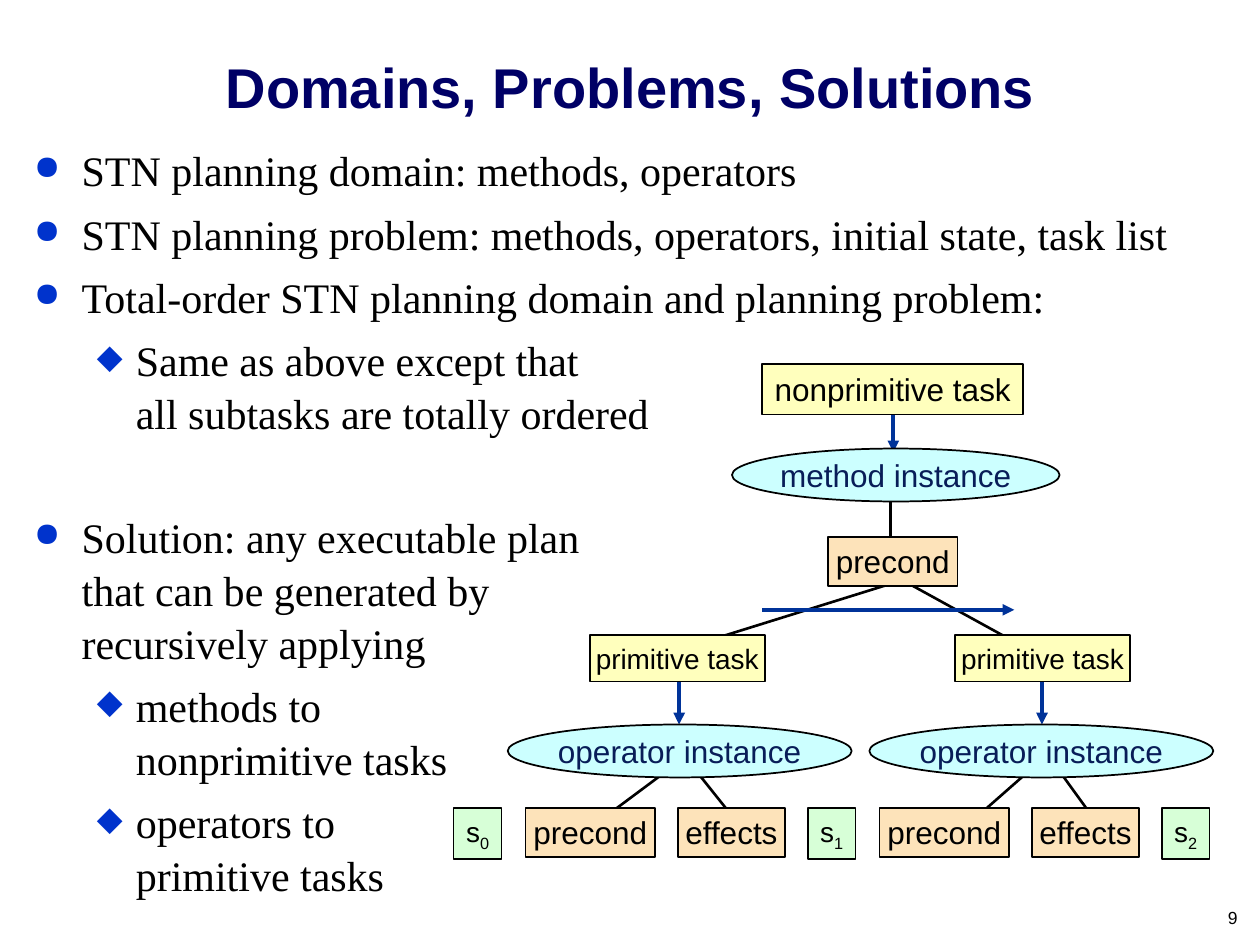
"""Build a slide on planning domains, problems and solutions."""
from dataclasses import dataclass

from lxml import etree
from pptx import Presentation
from pptx.dml.color import RGBColor
from pptx.enum import shapes, text
from pptx.oxml import ns
from pptx.util import Inches, Pt

BLACK = RGBColor(0, 0, 0)
NAVY = RGBColor(0x00, 0x00, 0x66)
INK = RGBColor(0x08, 0x1D, 0x58)
BLUE = RGBColor(0x00, 0x33, 0x99)
YELLOW = RGBColor(0xFF, 0xFF, 0xBD)
PEACH = RGBColor(0xFD, 0xE3, 0xBA)
CYAN = RGBColor(0xCC, 0xFF, 0xFF)
GREEN = RGBColor(0xD7, 0xFF, 0xD7)
RECT = shapes.MSO_SHAPE.RECTANGLE
OVAL = shapes.MSO_SHAPE.OVAL
ALIGN = text.PP_ALIGN
ANCHOR = text.MSO_ANCHOR


@dataclass(frozen=True)
class Kind:
    form: shapes.MSO_SHAPE
    fill: RGBColor
    width: float
    height: float
    size: int = 18
    color: RGBColor = BLACK


@dataclass(frozen=True)
class Node:
    kind: Kind
    left: float
    top: float
    words: str
    sub: str = ""


@dataclass(frozen=True)
class Link:
    start: tuple[float, float]
    end: tuple[float, float]
    arrow: bool = False


@dataclass(frozen=True)
class Point:
    words: str
    level: int = 0
    before: float = 6


GOAL = Kind(RECT, YELLOW, 2.07, 0.4)
TASK = Kind(RECT, YELLOW, 1.39, 0.37, 16)
METHOD = Kind(OVAL, CYAN, 2.6, 0.42, color=INK)
ACTION = Kind(OVAL, CYAN, 2.73, 0.42, color=INK)
NEED = Kind(RECT, PEACH, 1.03, 0.39)
EFFECT = Kind(RECT, PEACH, 0.85, 0.39)
STATE = Kind(RECT, GREEN, 0.38, 0.41, 16)
ROW = 6.41
STEP = 2.81

POINTS = [
    Point("STN planning domain: methods, operators", before=0),
    Point("STN planning problem: methods, operators, initial state, task list"),
    Point("Total-order STN planning domain and planning problem:"),
    Point("Same as above except that\nall subtasks are totally ordered", 1),
    Point("Solution: any executable plan\nthat can be generated by\n"
          "recursively applying", before=40.5),
    Point("methods to\nnonprimitive tasks", 1),
    Point("operators to\nprimitive tasks", 1),
]
BULLETS = [("●", 0.38, 0.38), ("◆", 0.81, 0.31)]

LINKS = [
    Link((5.33, 6.09), (4.86, 6.44)),
    Link((5.55, 6.15), (5.79, 6.45)),
    Link((8.2, 6.09), (7.79, 6.45)),
    Link((8.43, 6.15), (8.64, 6.44)),
    Link((7.07, 3.85), (7.07, 4.39)),
    Link((7.08, 4.63), (5.7, 5.06)),
    Link((7.19, 4.62), (7.99, 5.06)),
    Link((7.09, 3.24), (7.09, 3.59), True),
    Link((6.05, 4.84), (8.05, 4.84), True),
    Link((5.39, 5.4), (5.39, 5.75), True),
    Link((8.27, 5.4), (8.27, 5.75), True),
]


def write(para, words: str, *, size: float, font: str = "Arial",
          color: RGBColor = BLACK, bold: bool = False,
          align=ALIGN.CENTER, sub: str = "") -> None:
    """Fill a paragraph with formatted text and an optional subscript."""
    para.text = words
    para.alignment = align
    if sub:
        low = para.add_run()
        low.text = sub
        low._r.get_or_add_rPr().set("baseline", "-25000")
    for run in para.runs:
        run.font.size = Pt(size)
        run.font.name = font
        run.font.bold = bold
        run.font.color.rgb = color


def bullet(para, level: int) -> None:
    """Give a paragraph the bullet and indent of its level."""
    char, left, hang = BULLETS[level]
    props = para._p.get_or_add_pPr()
    props.set("marL", str(Inches(left)))
    props.set("indent", str(-Inches(hang)))
    tint = etree.SubElement(props, ns.qn("a:buClr"))
    etree.SubElement(tint, ns.qn("a:srgbClr"), val="0033CC")
    etree.SubElement(props, ns.qn("a:buSzPct"), val="80000")
    etree.SubElement(props, ns.qn("a:buChar"), char=char)


def connect(slide, link: Link) -> None:
    """Draw a plain line or an ordering arrow."""
    ends = [Inches(n) for n in link.start + link.end]
    line = slide.shapes.add_connector(shapes.MSO_CONNECTOR.STRAIGHT, *ends)
    line.line.color.rgb = BLUE if link.arrow else BLACK
    line.line.width = Pt(2.25 if link.arrow else 1.5)
    if link.arrow:
        etree.SubElement(line.line._get_or_add_ln(), ns.qn("a:tailEnd"),
                         type="triangle")
    etree.SubElement(line._element.spPr, ns.qn("a:effectLst"))


def draw(slide, node: Node) -> None:
    """Draw one labelled node of the tree."""
    kind = node.kind
    area = [Inches(n) for n in (node.left, node.top, kind.width, kind.height)]
    shape = slide.shapes.add_shape(kind.form, *area)
    shape.shadow.inherit = False
    shape.fill.solid()
    shape.fill.fore_color.rgb = kind.fill
    shape.line.color.rgb = BLACK
    shape.line.width = Pt(1)
    frame = shape.text_frame
    frame.word_wrap = False
    frame.vertical_anchor = ANCHOR.MIDDLE
    frame.margin_left = frame.margin_right = 0
    frame.margin_top = frame.margin_bottom = 0
    write(frame.paragraphs[0], node.words, size=kind.size, color=kind.color,
          sub=node.sub)


def textbox(slide, *area: float):
    """Add a wrapping text box and return its frame."""
    frame = slide.shapes.add_textbox(*[Inches(n) for n in area]).text_frame
    frame.word_wrap = True
    return frame


def main() -> None:
    """Assemble and save the slide."""
    deck = Presentation()
    deck.slide_width, deck.slide_height = Inches(10), Inches(7.5)
    slide = deck.slides.add_slide(deck.slide_layouts[5])
    title = slide.shapes.title
    title.left, title.top = Inches(0.17), Inches(0.11)
    title.width, title.height = Inches(9.67), Inches(0.89)
    title.text_frame.vertical_anchor = ANCHOR.BOTTOM
    write(title.text_frame.paragraphs[0], "Domains, Problems, Solutions",
          size=32, color=NAVY, bold=True)

    body = textbox(slide, 0.17, 1.08, 9.67, 5.9)
    for i, point in enumerate(POINTS):
        para = body.add_paragraph() if i else body.paragraphs[0]
        para.level = point.level
        para.line_spacing = 1.05
        para.space_before = Pt(point.before)
        bullet(para, point.level)
        write(para, point.words, size=24, font="Times New Roman",
              align=ALIGN.LEFT)

    nodes = [Node(GOAL, 6.05, 2.89, "nonprimitive task"),
             Node(METHOD, 5.81, 3.56, "method instance"),
             Node(NEED, 6.57, 4.26, "precond")]
    for i, (task, action) in enumerate([(4.68, 4.03), (7.58, 6.9)]):
        nodes += [Node(TASK, task, 5.04, "primitive task"),
                  Node(ACTION, action, 5.75, "operator instance"),
                  Node(NEED, 4.17 + i * STEP, ROW, "precond"),
                  Node(EFFECT, 5.38 + i * STEP, ROW, "effects")]
    nodes += [Node(STATE, 3.6 + i * STEP, ROW, "s", str(i)) for i in range(3)]
    for link in LINKS:
        connect(slide, link)
    for node in nodes:
        draw(slide, node)

    number = textbox(slide, 9.4, 7.15, 0.52, 0.26)
    write(number.paragraphs[0], "9", size=10, align=ALIGN.RIGHT)
    deck.save("out.pptx")


if __name__ == "__main__":
    main()
